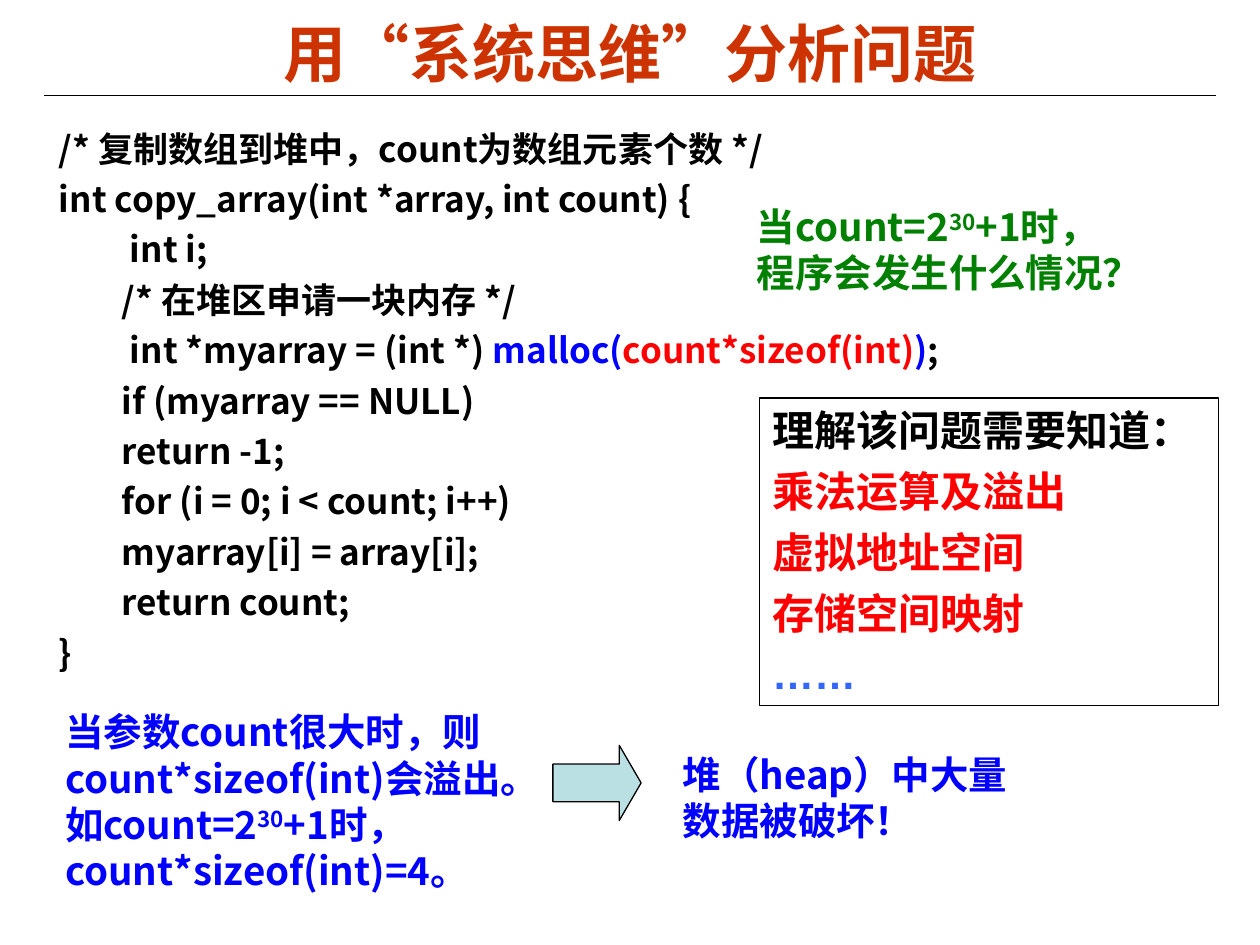
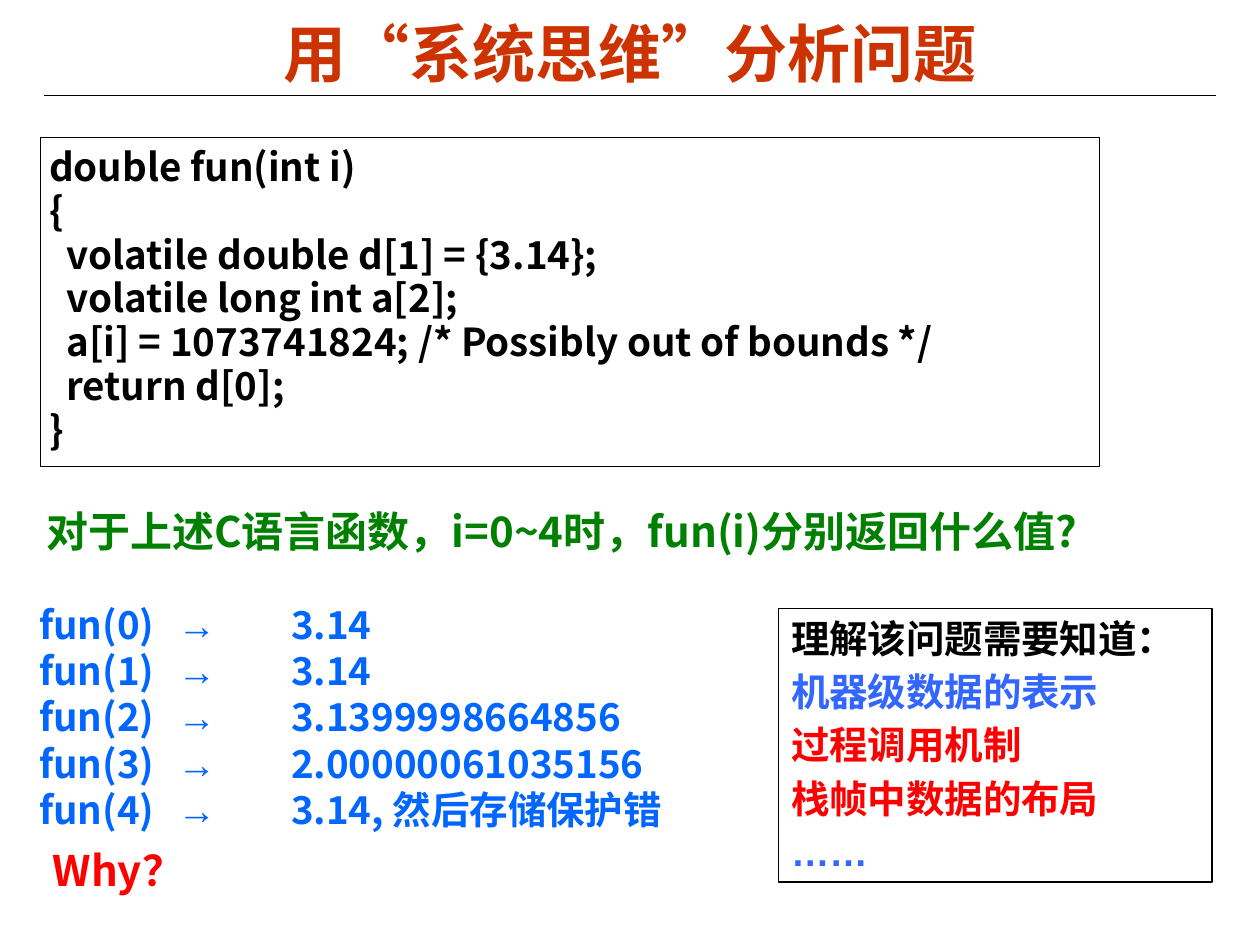
from dataclasses import dataclass

from lxml import etree
from pptx import Presentation
from pptx import util as u
from pptx.dml.color import RGBColor
from pptx.enum import shapes, text
from pptx.oxml import ns

COLUMNS, ROWS = 100, 75
SLIDE_WIDTH, SLIDE_HEIGHT = u.Inches(10), u.Inches(7.5)

BLACK = RGBColor(0x00, 0x00, 0x00)
WHITE = RGBColor(0xFF, 0xFF, 0xFF)
RUST = RGBColor(0xCC, 0x33, 0x00)
RED = RGBColor(0xFF, 0x00, 0x00)
BLUE = RGBColor(0x00, 0x00, 0xFF)
SOFT_BLUE = RGBColor(0x33, 0x66, 0xFF)
RESULT_BLUE = RGBColor(0x00, 0x66, 0xFF)
GREEN = RGBColor(0x00, 0x80, 0x00)
PALE_TEAL = RGBColor(0xBB, 0xE0, 0xE3)

CJK, LATIN = "Noto Sans CJK SC", "Arial"
TITLE = "用“系统思维”分析问题"
KNOWLEDGE_HEADING = "理解该问题需要知道："
POWER = ("30", {"baseline": 30000})

COPY_ARRAY = [
    (0, ["/* 复制数组到堆中，count为数组元素个数 */"]),
    (0, ["int copy_array(int *array, int count) {"]),
    (1, [" int i;"]),
    (1, ["/* 在堆区申请一块内存 */"]),
    (1, [" int *myarray = (int *) ", ("malloc(", {"color": BLUE}),
         ("count*sizeof(int)", {"color": RED}), (")", {"color": BLUE}), ";"]),
    (1, ["if (myarray == NULL)"]),
    (1, ["return -1;"]),
    (1, ["for (i = 0; i < count; i++)"]),
    (1, ["myarray[i] = array[i];"]),
    (1, ["return count;"]),
    (0, ["}"]),
]
FUN_CODE = """double fun(int i)
{
  volatile double d[1] = {3.14};
  volatile long int a[2];
  a[i] = 1073741824; /* Possibly out of bounds */
  return d[0];
}"""
FUN_RESULTS = ["3.14", "3.14", "3.1399998664856", "2.00000061035156",
               "3.14, 然后存储保护错"]


@dataclass
class Box:
    left: float
    top: float
    width: float
    height: float

    def share(self, x, y, width, height):
        return Box(self.left + x * self.width, self.top + y * self.height,
                   width * self.width, height * self.height)

    def emu(self):
        col, row = SLIDE_WIDTH / COLUMNS, SLIDE_HEIGHT / ROWS
        return [round(v) for v in (self.left * col, self.top * row,
                                   self.width * col, self.height * row)]


def add_run(paragraph, content, size, color, latin=CJK, east=None, baseline=None):
    run = paragraph.add_run()
    run.text = content
    formats = {"size": u.Pt(size), "bold": True, "name": latin}
    for key, value in formats.items():
        setattr(run.font, key, value)
    run.font.color.rgb = color
    properties = run._r.get_or_add_rPr()
    etree.SubElement(properties, ns.qn("a:ea")).set("typeface", east or latin)
    if baseline:
        properties.set("baseline", str(baseline))


def set_tabs(paragraph, stops):
    tab_list = etree.SubElement(paragraph._p.get_or_add_pPr(), ns.qn("a:tabLst"))
    for stop in stops:
        tab = etree.SubElement(tab_list, ns.qn("a:tab"))
        tab.set("pos", str(u.Inches(stop)))
        tab.set("algn", "l")


def write(shape, paragraphs, style, anchor=text.MSO_ANCHOR.TOP,
          align=text.PP_ALIGN.LEFT, inset=(0.1, 0.05), spacing=1.0,
          before=0, tabs=(), indents=()):
    frame = shape.text_frame
    horizontal, vertical = map(u.Inches, inset)
    formats = {"word_wrap": True, "vertical_anchor": anchor,
               "margin_left": horizontal, "margin_right": horizontal,
               "margin_top": vertical, "margin_bottom": vertical}
    for key, value in formats.items():
        setattr(frame, key, value)
    for index, runs in enumerate(paragraphs):
        paragraph = frame.add_paragraph() if index else frame.paragraphs[0]
        if tabs:
            set_tabs(paragraph, tabs)
        if indents:
            paragraph._p.get_or_add_pPr().set("marL", str(u.Inches(indents[index])))
        paragraph.alignment = align
        paragraph.line_spacing = spacing
        paragraph.space_before = u.Pt(before if index else 0)
        for run in runs:
            content, changes = (run, {}) if isinstance(run, str) else run
            add_run(paragraph, content, **{**style, **changes})


def text_area(slide, box, paragraphs, style, **layout):
    write(slide.shapes.add_textbox(*box.emu()), paragraphs, style, **layout)


def panel(slide, box, fill=None, line=None, weight=0.75,
          outline=shapes.MSO_SHAPE.RECTANGLE):
    shape = slide.shapes.add_shape(outline, *box.emu())
    shape.shadow.inherit = False
    if fill is None:
        shape.fill.background()
    else:
        shape.fill.solid()
        shape.fill.fore_color.rgb = fill
    if line is None:
        shape.line.fill.background()
    else:
        shape.line.color.rgb = line
        shape.line.width = u.Pt(weight)
    return shape


def title_band(slide, box):
    left, top, width, height = box.emu()
    rule = slide.shapes.add_connector(shapes.MSO_CONNECTOR.STRAIGHT,
                                      left, top + height, left + width, top + height)
    rule.line.color.rgb = BLACK
    rule.line.width = u.Pt(0.75)
    etree.SubElement(rule._element.spPr, ns.qn("a:effectLst"))
    text_area(slide, box.share(0, 0, 1, 0.94), [[TITLE]],
              {"size": 36, "color": RUST, "latin": LATIN, "east": CJK},
              anchor=text.MSO_ANCHOR.MIDDLE, align=text.PP_ALIGN.CENTER)


def knowledge_panel(slide, box, topics, size, before):
    items = [(KNOWLEDGE_HEADING, BLACK), *topics, ("……", SOFT_BLUE)]
    write(panel(slide, box, line=BLACK),
          [[(item, {"color": color})] for item, color in items],
          {"size": size, "color": BLACK, "latin": LATIN}, before=before)


def copy_array_code(slide, box):
    text_area(slide, box, [runs for _, runs in COPY_ARRAY],
              {"size": 20, "color": BLACK}, spacing=1.15, before=1.2,
              indents=[0.5 * level for level, _ in COPY_ARRAY])


def overflow_consequence(slide, box):
    style = {"size": 22, "color": BLUE}
    middle = text.MSO_ANCHOR.MIDDLE
    text_area(slide, box.share(0, 0, 0.53, 1),
              [["当参数count很大时，则count*sizeof(int)会溢出。如count=2", POWER,
                "+1时， count*sizeof(int)=4。"]], style, anchor=middle)
    arrow = panel(slide, box.share(0.51, 0.22, 0.09, 0.38), PALE_TEAL, BLACK,
                  outline=shapes.MSO_SHAPE.RIGHT_ARROW)
    arrow.adjustments[1] = 0.29
    text_area(slide, box.share(0.63, 0.21, 0.37, 0.54),
              [["堆（heap）中大量数据被破坏！"]], style, anchor=middle)


def overflow_question(slide, box):
    text_area(slide, box,
              [["当count=2", POWER, "+1时， 程序会发生什么情况？"]],
              {"size": 22, "color": GREEN}, anchor=text.MSO_ANCHOR.MIDDLE)


def fun_code(slide, box):
    write(panel(slide, box, line=BLACK, weight=0.5),
          [[line] for line in FUN_CODE.split("\n")],
          {"size": 22, "color": BLACK}, inset=(0.07, 0.07), spacing=0.95)


def fun_question(slide, box):
    text_area(slide, box, [["对于上述C语言函数，i=0~4时，fun(i)分别返回什么值?"]],
              {"size": 24, "color": GREEN}, spacing=1.15)


def fun_results(slide, box):
    rows = [[f"fun({i})\t", ("→\t", {"latin": LATIN}), result]
            for i, result in enumerate(FUN_RESULTS)]
    write(panel(slide, box, fill=WHITE), rows, {"size": 22, "color": RESULT_BLUE},
          inset=(0.04, 0.04), tabs=(1.1, 2))


def why(slide, box):
    text_area(slide, box, [["Why？"]], {"size": 24, "color": RED})


def titled_slide(deck):
    slide = deck.slides.add_slide(deck.slide_layouts[6])
    title_band(slide, Box(3.5, 1.1, 93, 6.5))
    return slide


def overflow_slide(deck):
    slide = titled_slide(deck)
    copy_array_code(slide, Box(3.7, 9.1, 90, 49))
    overflow_consequence(slide, Box(4.2, 55.7, 77.8, 15.7))
    knowledge_panel(slide, Box(60.3, 31.6, 36.4, 24.4),
                    [("乘法运算及溢出", RED), ("虚拟地址空间", RED), ("存储空间映射", RED)],
                    size=24, before=6)
    overflow_question(slide, Box(59.1, 15.6, 32.7, 8.4))


def out_of_bounds_slide(deck):
    slide = titled_slide(deck)
    fun_question(slide, Box(2.7, 39, 90, 10.8))
    fun_code(slide, Box(3.2, 10.9, 84.1, 26.1))
    fun_results(slide, Box(2.7, 47.3, 80.1, 20.3))
    knowledge_panel(slide, Box(61.8, 48.3, 34.4, 21.7),
                    [("机器级数据的表示", SOFT_BLUE), ("过程调用机制", RED),
                     ("栈帧中数据的布局", RED)],
                    size=22, before=4.1)
    why(slide, Box(3.2, 66.5, 31, 5))


def main():
    deck = Presentation()
    deck.slide_width, deck.slide_height = SLIDE_WIDTH, SLIDE_HEIGHT
    overflow_slide(deck)
    out_of_bounds_slide(deck)
    deck.save("out.pptx")


if __name__ == "__main__":
    main()
